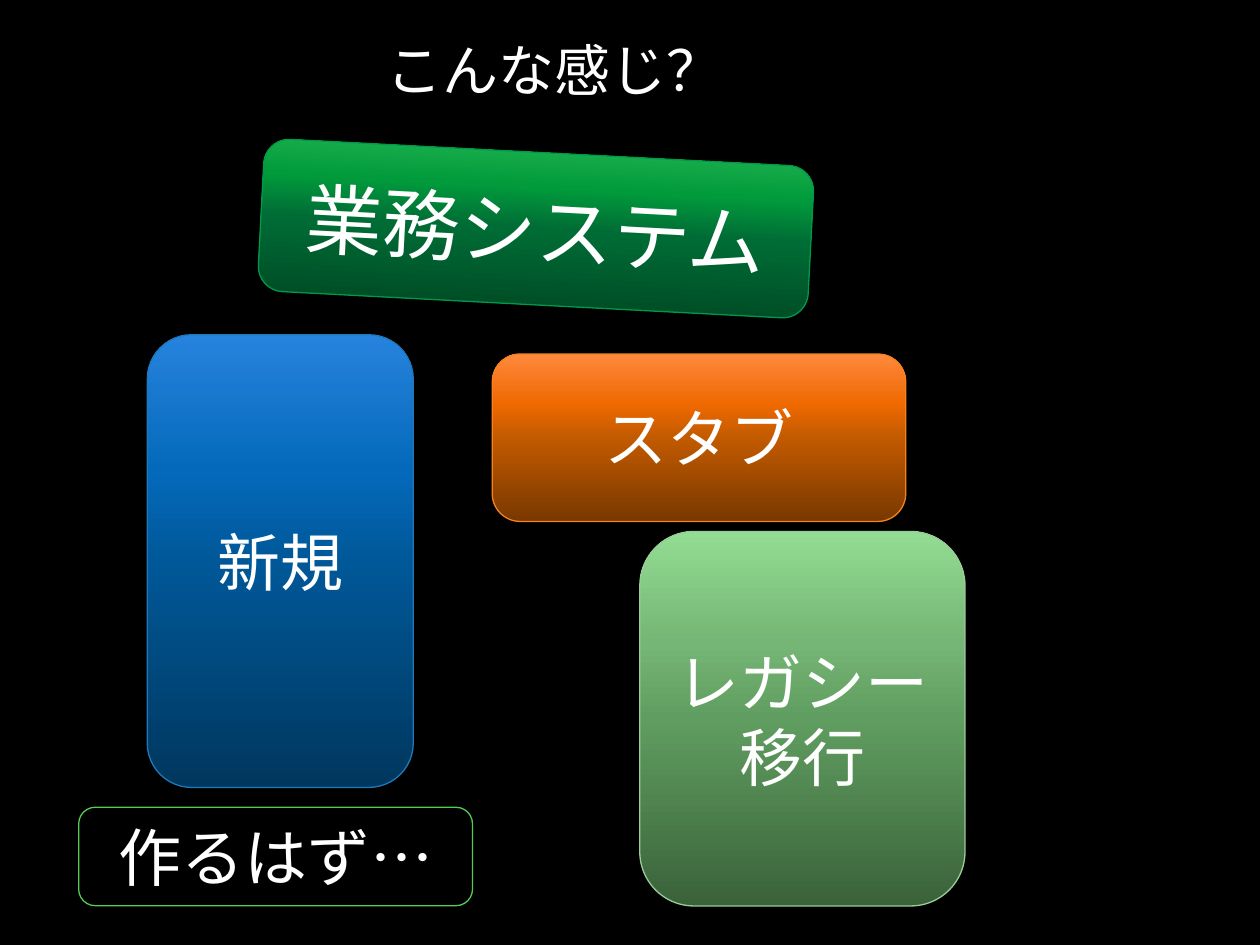
from lxml.etree import SubElement
from pptx import Presentation
from pptx.dml.color import RGBColor
from pptx.enum.shapes import MSO_SHAPE
from pptx.enum.text import MSO_ANCHOR, MSO_AUTO_SIZE, PP_ALIGN
from pptx.oxml.ns import qn
from pptx.util import Pt

FONT = "Noto Sans CJK JP"
STOP_POSITIONS = (0, 50, 70, 100)

# Box (left, top, width, height), rotation, text size, lines, outline, gradient from bottom to top
BLOCKS = [
    ((149, 87.1, 314.6, 87.1), 3, 44, ["業務システム"], "00994B",
     ("004321", "006C35", "019B3C", "29B955")),
    ((84.2, 191.3, 152, 258.7), 0, 36, ["新規"], "1E78B9",
     ("00375E", "005898", "0469BB", "2683DD")),
    ((365.6, 303.7, 185.8, 214), 0, 36, ["レガシー", "移行"], "99CC99",
     ("3A623A", "609D60", "75B575", "93DC93")),
    ((281.3, 202.3, 236.3, 95.7), 0, 36, ["スタブ"], "F5821E",
     ("793800", "C25A00", "EF6900", "FF893D")),
    ((45, 461.3, 225, 56.2), 0, 36, ["作るはず…"], "52CC52", None),
]


def color(hex_string):
    return RGBColor.from_string(hex_string)


def place(shape, box):
    shape.left, shape.top, shape.width, shape.height = map(Pt, box)


def add_text(paragraph, text, size, alignment):
    paragraph.alignment = alignment
    run = paragraph.add_run()
    run.text = text
    run.font.size = Pt(size)
    run.font.color.rgb = color("FFFFFF")
    run.font.name = FONT
    SubElement(run.font._element, qn("a:ea"), typeface=FONT)


def fill_gradient(shape, colors):
    """Vertical gradient whose first colour lies at the bottom."""
    shape.fill.gradient()
    shape.fill.gradient_angle = 90
    stops = shape._element.spPr.find(qn("a:gradFill")).find(qn("a:gsLst"))
    for stop in list(stops):
        stops.remove(stop)
    for position, hex_string in zip(STOP_POSITIONS, colors):
        stop = SubElement(stops, qn("a:gs"), pos=str(position * 1000))
        SubElement(stop, qn("a:srgbClr"), val=hex_string)


def add_title(slide, box):
    title = slide.shapes.title
    place(title, box)
    frame = title.text_frame
    frame.word_wrap = True
    frame.auto_size = MSO_AUTO_SIZE.NONE
    frame.vertical_anchor = MSO_ANCHOR.TOP
    add_text(frame.paragraphs[0], "こんな感じ？", 32, PP_ALIGN.LEFT)


def add_block(slide, box, rotation, size, lines, outline, gradient):
    shape = slide.shapes.add_shape(MSO_SHAPE.ROUNDED_RECTANGLE, *map(Pt, box))
    shape.rotation = rotation
    shape.shadow.inherit = False
    if gradient:
        fill_gradient(shape, gradient)
    else:
        shape.fill.background()
    shape.line.color.rgb = color(outline)
    shape.line.width = Pt(0.75)

    # Centred label, one paragraph per line
    frame = shape.text_frame
    frame.word_wrap = True
    frame.vertical_anchor = MSO_ANCHOR.MIDDLE
    for index, text in enumerate(lines):
        paragraph = frame.add_paragraph() if index else frame.paragraphs[0]
        add_text(paragraph, text, size, PP_ALIGN.CENTER)


def main():
    presentation = Presentation()
    presentation.slide_width, presentation.slide_height = Pt(720), Pt(540)
    slide = presentation.slides.add_slide(presentation.slide_layouts[5])

    # Black background
    slide.background.fill.solid()
    slide.background.fill.fore_color.rgb = color("000000")

    # Title and stacked blocks
    add_title(slide, (213.8, 16.6, 225.4, 46))
    for block in BLOCKS:
        add_block(slide, *block)

    presentation.save("out.pptx")


if __name__ == "__main__":
    main()
